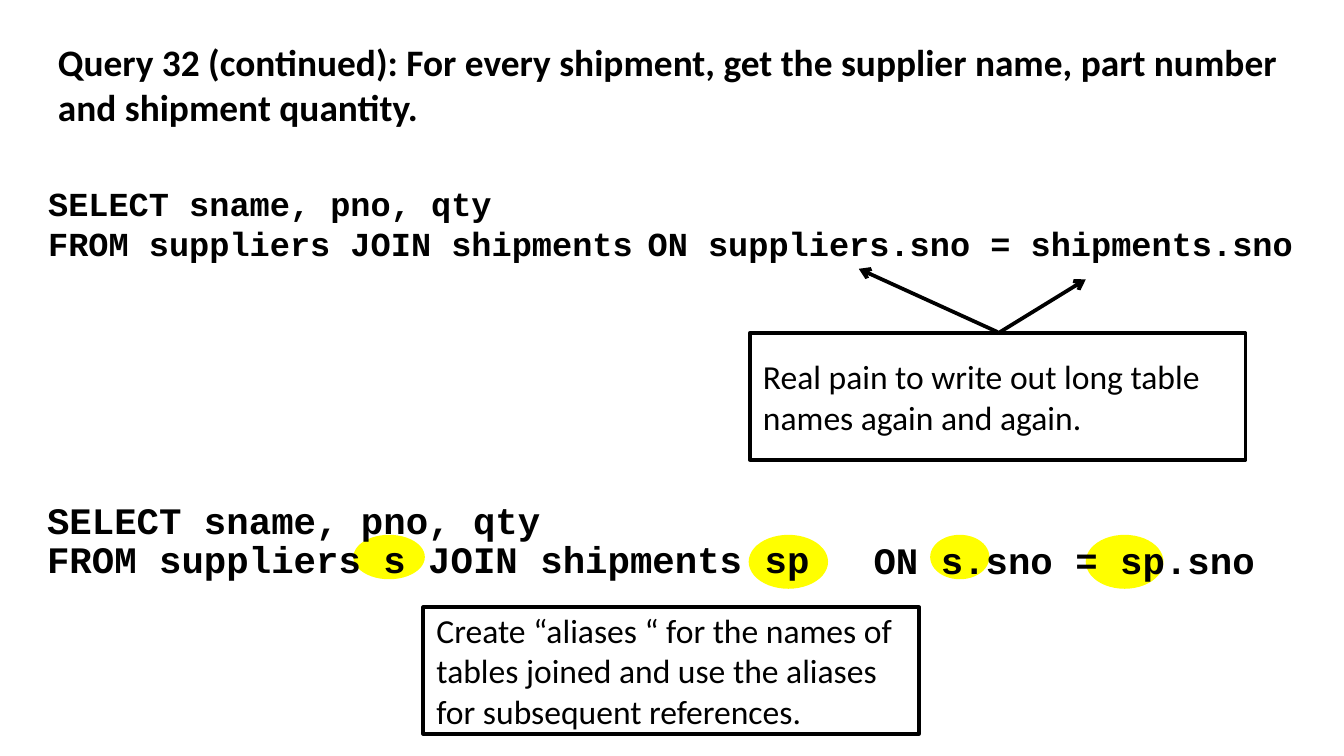
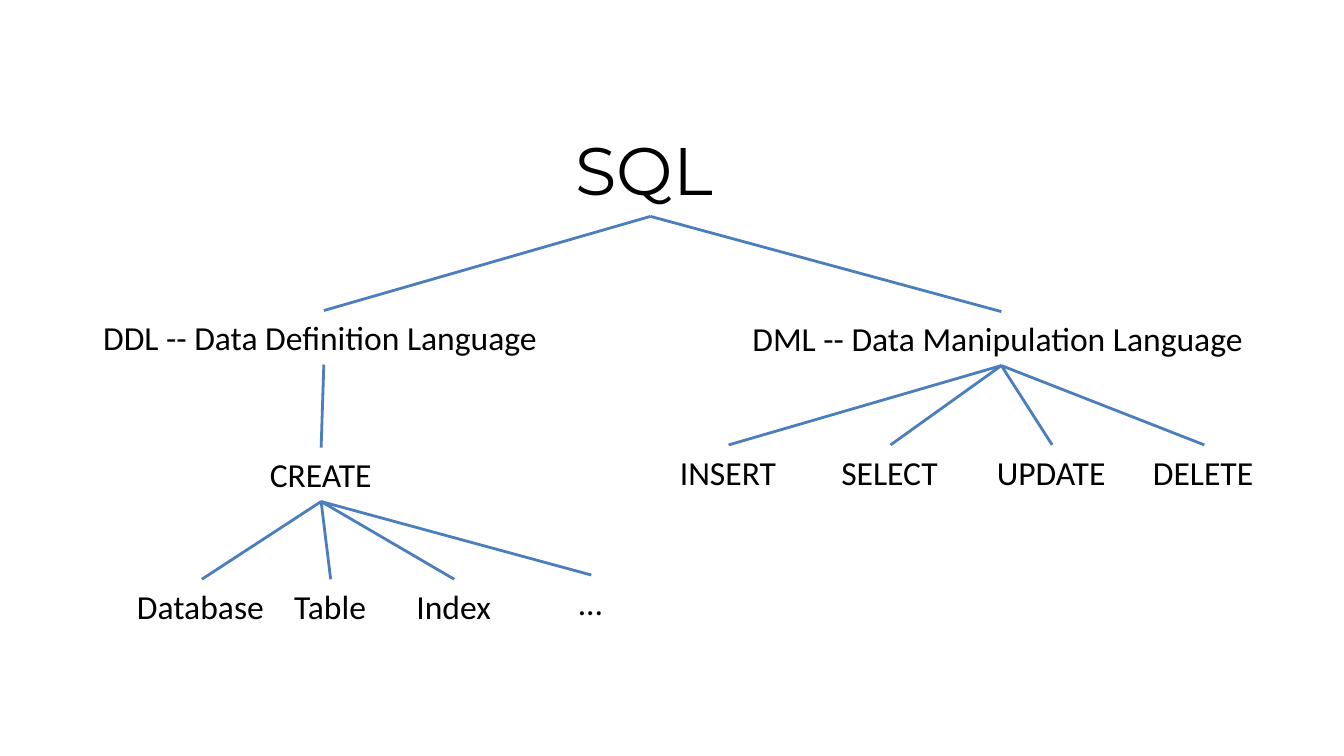
"""Build two slides on SQL: table aliases in joins, and the parts of the language."""
from lxml import etree
from pptx import Presentation
from pptx.dml.color import RGBColor
from pptx.enum.shapes import MSO_CONNECTOR, MSO_SHAPE
from pptx.enum.text import MSO_ANCHOR, MSO_AUTO_SIZE, PP_ALIGN
from pptx.oxml.ns import qn
from pptx.util import Cm, Pt

BLACK = RGBColor(0x00, 0x00, 0x00)
YELLOW = RGBColor(0xFF, 0xFF, 0x00)
BLUE = RGBColor(0x4B, 0x7E, 0xBC)
BODY_FONT = "Calibri"
CODE_FONT = "Courier New"
HEADING_FONT = "Montserrat"
STRAIGHT = MSO_CONNECTOR.STRAIGHT
OVAL = MSO_SHAPE.OVAL
RECTANGLE = MSO_SHAPE.RECTANGLE
CALLOUT = MSO_SHAPE.LINE_CALLOUT_1
TOP, MIDDLE = MSO_ANCHOR.TOP, MSO_ANCHOR.MIDDLE
GROW = MSO_AUTO_SIZE.SHAPE_TO_FIT_TEXT
LEFT = PP_ALIGN.LEFT
TOP_SIDE, BOTTOM_SIDE = 0, 2


def write(shape, text, font, size, bold=False, wrap=False, anchor=TOP):
    """Fill a shape with one left-aligned paragraph."""
    frame = shape.text_frame
    frame.text = text
    frame.word_wrap = wrap
    frame.vertical_anchor = anchor
    paragraph = frame.paragraphs[0]
    paragraph.alignment = LEFT
    paragraph.font.name = font
    paragraph.font.size = Pt(size)
    paragraph.font.bold = bold
    paragraph.font.color.rgb = BLACK


def draw_line(slide, start, end, color, width):
    """Add a straight connector without a shadow."""
    connector = slide.shapes.add_connector(STRAIGHT, *map(Cm, start + end))
    connector.line.color.rgb = color
    connector.line.width = Pt(width)
    etree.SubElement(connector._element.spPr, qn("a:effectLst"))
    return connector


presentation = Presentation()
presentation.slide_width = Cm(25.4)
presentation.slide_height = Cm(14.29)
title_only = presentation.slide_layouts[5]
alias_slide = presentation.slides.add_slide(title_only)
tree_slide = presentation.slides.add_slide(title_only)

titles = [
    (alias_slide, "Query 32 (continued): For every shipment, get the supplier name, "
     "part number and shipment quantity.", (0.84, 0.61, 23.6, 1.96), BODY_FONT, 20, True),
    (tree_slide, "SQL", (10.62, 2.29, 3.35, 1.8), HEADING_FONT, 36, False),
]
for slide, text, box, font, size, is_query in titles:
    title = slide.shapes.title
    title.left, title.top, title.width, title.height = map(Cm, box)
    write(title, text, font, size, bold=is_query, wrap=is_query)
    title.text_frame.auto_size = GROW

alias_marks = [(6.68, 1.35, 0.84), (14.15, 1.5, 1.02), (17.58, 1.12, 0.84), (20.52, 1.47, 1.02)]
for left, width, height in alias_marks:
    mark = alias_slide.shapes.add_shape(OVAL, Cm(left), Cm(10.11), Cm(width), Cm(height))
    mark.shadow.inherit = False
    mark.fill.solid()
    mark.fill.fore_color.rgb = YELLOW
    mark.line.fill.background()

code_lines = [
    ("SELECT sname, pno, qty", 0.66, 3.33, 8.94, 18),
    ("FROM suppliers JOIN shipments", 0.66, 4.09, 11.61, 18),
    ("ON suppliers.sno = shipments.sno", 11.99, 4.09, 12.78, 18),
    ("SELECT sname, pno, qty", 0.64, 9.27, 9.91, 20),
    ("FROM suppliers s JOIN shipments sp", 0.64, 10.01, 15.04, 20),
    ("ON s.sno = sp.sno", 16.26, 10.03, 7.77, 20),
]
for text, left, top, width, size in code_lines:
    code = alias_slide.shapes.add_textbox(Cm(left), Cm(top), Cm(width), Cm(size * 0.056))
    write(code, text, CODE_FONT, size, bold=True)
    code.text_frame.auto_size = GROW

notes = []
for kind, left, top, text in [
    (CALLOUT, 14.17, 6.3, "Real pain to write out long table names again and again."),
    (RECTANGLE, 8, 11.48, "Create “aliases “ for the names of tables joined "
     "and use the aliases for subsequent references."),
]:
    note = alias_slide.shapes.add_shape(kind, Cm(left), Cm(top), Cm(9.37), Cm(2.39))
    note.shadow.inherit = False
    note.fill.background()
    note.line.color.rgb = BLACK
    note.line.width = Pt(2)
    write(note, text, BODY_FONT, 18, wrap=True, anchor=MIDDLE)
    notes.append(note)

callout = notes[0]
for index, value in enumerate((-0.01, 0.5, -0.51, 0.22)):
    callout.adjustments[index] = value
pointer = draw_line(alias_slide, (18.86, 6.3), (20.52, 5.28), BLACK, 2)
for shape in (callout, pointer):
    outline = shape._element.spPr.find(qn("a:ln"))
    etree.SubElement(outline, qn("a:tailEnd"), type="arrow")

tree_nodes = [
    ("DDL -- Data Definition Language", "SQL", 1.7, 5.87, 8.84),
    ("DML -- Data Manipulation Language", "SQL", 13.97, 5.89, 9.91),
    ("CREATE", "DDL", 4.85, 8.46, 2.44),
    ("Database", "CREATE", 2.34, 10.95, 2.95),
    ("Table", "CREATE", 5.31, 10.95, 1.88),
    ("Index", "CREATE", 7.62, 10.95, 1.93),
    ("…", "CREATE", 10.69, 10.87, 0.97),
    ("INSERT", "DML", 12.6, 8.41, 2.34),
    ("SELECT", "DML", 15.65, 8.41, 2.36),
    ("UPDATE", "DML", 18.59, 8.41, 2.59),
    ("DELETE", "DML", 21.54, 8.41, 2.44),
]
nodes = {"SQL": tree_slide.shapes.title}
for text, parent, left, top, width in tree_nodes:
    node = tree_slide.shapes.add_textbox(Cm(left), Cm(top), Cm(width), Cm(1.02))
    write(node, text, BODY_FONT, 18)
    node.text_frame.auto_size = GROW
    nodes[text.split()[0]] = node
    branch = draw_line(tree_slide, (0, 0), (1, 1), BLUE, 1.5)
    branch.begin_connect(nodes[parent], BOTTOM_SIDE)
    branch.end_connect(node, TOP_SIDE)

presentation.save("out.pptx")
